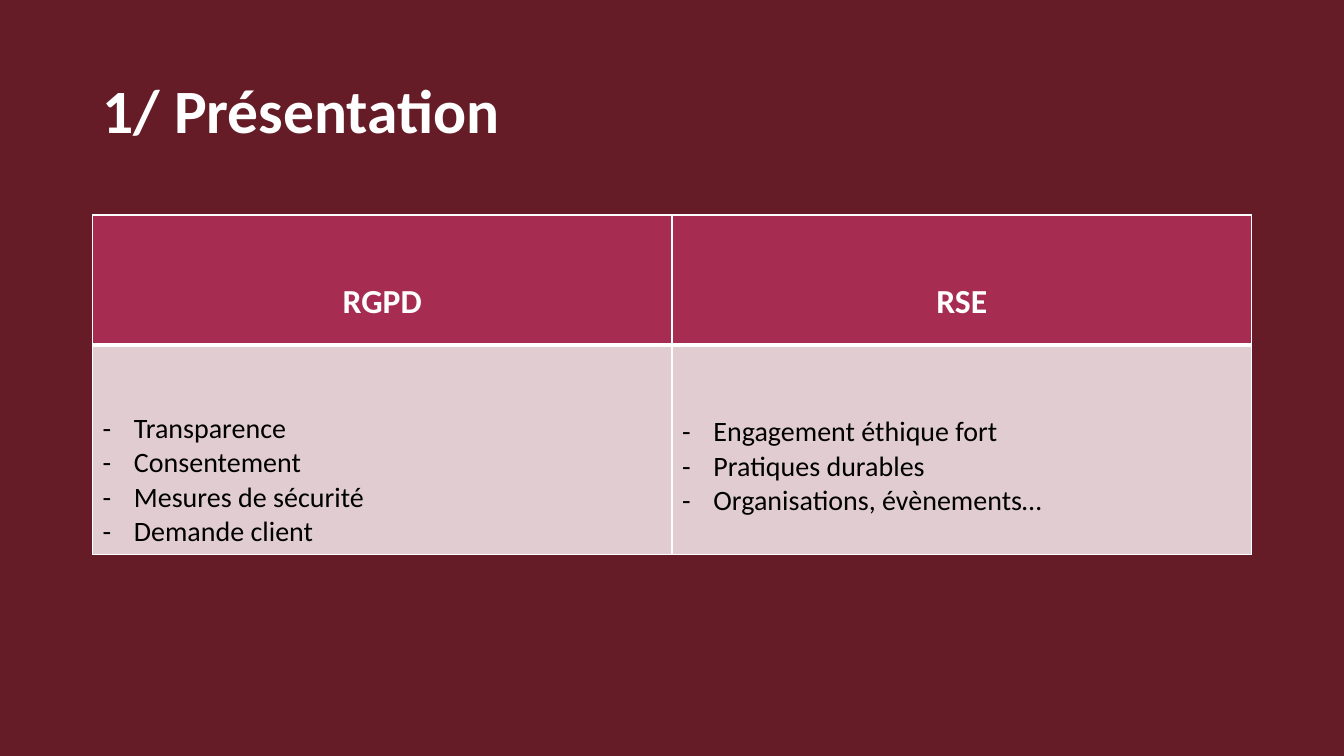
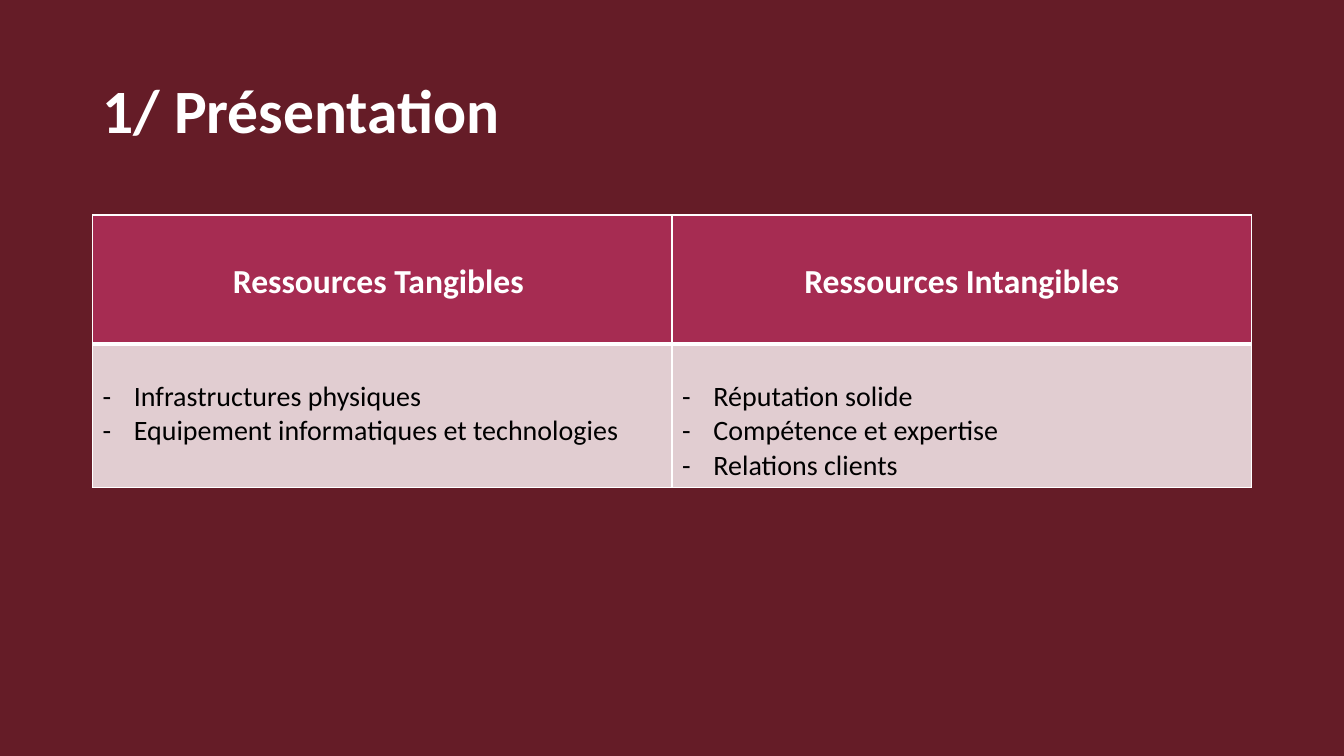
import pptx
import pptx.util
import pptx.dml.color
import pptx.enum.text
import pptx.oxml.ns
from lxml import etree

Cm, Pt = pptx.util.Cm, pptx.util.Pt
RGBColor = pptx.dml.color.RGBColor
qn = pptx.oxml.ns.qn

# Shared look
BURGUNDY = RGBColor(0x65, 0x1C, 0x27)
RASPBERRY = RGBColor(0xA6, 0x2C, 0x52)
ROSE = RGBColor(0xE1, 0xCD, 0xD1)
WHITE = RGBColor(0xFF, 0xFF, 0xFF)
BLACK = RGBColor(0x00, 0x00, 0x00)
FONT = "Calibri"
LEFT, WIDTH = Cm(2.33), Cm(29.21)
TABLE_TOP = Cm(5.42)
INDENT = Cm(0.79)


def style_font(p, size, color, bold=False):
    for r in p.runs:
        r.font.name = FONT
        r.font.size = Pt(size)
        r.font.color.rgb = color
        r.font.bold = bold


def setup_theme(prs):
    """Set the background and the title position for every slide."""
    fill = prs.slide_master.background.fill
    fill.solid()
    fill.fore_color.rgb = BURGUNDY
    layout = prs.slide_layouts.get_by_name("Title Only")
    title = layout.placeholders[0]
    title.left, title.top, title.width, title.height = LEFT, Cm(1.01), WIDTH, Cm(3.68)
    return layout


def add_title(s, text):
    tf = s.shapes.title.text_frame
    tf.text = text
    tf.vertical_anchor = pptx.enum.text.MSO_ANCHOR.MIDDLE
    p = tf.paragraphs[0]
    p.alignment = pptx.enum.text.PP_ALIGN.LEFT
    p.line_spacing = 0.9
    style_font(p, 44, WHITE, bold=True)


def add_dash(p):
    pPr = p._p.get_or_add_pPr()
    pPr.set("marL", str(INDENT))
    pPr.set("indent", str(-INDENT))
    etree.SubElement(pPr, qn("a:buFont"), typeface=FONT)
    etree.SubElement(pPr, qn("a:buChar"), char="-")


def format_cell(cell, fill, margin_top, top_line=1, bottom_line=1):
    """Draw white borders, then fill the cell and place its text."""
    tcPr = cell._tc.get_or_add_tcPr()
    for side, width in zip("LRTB", (1, 1, top_line, bottom_line)):
        ln = etree.SubElement(tcPr, qn(f"a:ln{side}"), w=str(Pt(width)))
        color = etree.SubElement(ln, qn("a:solidFill"))
        etree.SubElement(color, qn("a:srgbClr"), val=str(WHITE))
    cell.fill.solid()
    cell.fill.fore_color.rgb = fill
    cell.margin_top = Cm(margin_top)


def add_table(s, columns, heights, header_margin):
    """Each column is (heading, top margin of the list in cm, items)."""
    height = Cm(sum(heights))
    table = s.shapes.add_table(2, len(columns), LEFT, TABLE_TOP, WIDTH, height).table
    table.horz_banding = False
    for row, h in zip(table.rows, heights):
        row.height = Cm(h)
    for i, (heading, list_margin, items) in enumerate(columns):
        head, body = table.cell(0, i), table.cell(1, i)
        format_cell(head, RASPBERRY, header_margin, bottom_line=3)
        head.text_frame.text = heading
        p = head.text_frame.paragraphs[0]
        p.alignment = pptx.enum.text.PP_ALIGN.CENTER
        style_font(p, 24, WHITE, bold=True)

        format_cell(body, ROSE, list_margin, top_line=3)
        body.text_frame.text = "\n".join(items)
        for p in body.text_frame.paragraphs:
            add_dash(p)
            style_font(p, 20, BLACK)


def main():
    prs = pptx.Presentation()
    prs.slide_width, prs.slide_height = Cm(33.87), Cm(19.05)
    layout = setup_theme(prs)

    # Columns, row heights and header margin of each slide
    slides = [
        ([("RGPD", 1.68, ["Transparence", "Consentement",
                          "Mesures de sécurité", "Demande client"]),
          ("RSE", 1.76, ["Engagement éthique fort", "Pratiques durables",
                         "Organisations, évènements…"])],
         (3.28, 5.25), 1.68),
        ([("Ressources Tangibles ", 0.9, ["Infrastructures physiques",
                                          "Equipement informatiques et technologies"]),
          ("Ressources Intangibles", 0.9, ["Réputation solide", "Compétence et expertise",
                                           "Relations clients"])],
         (3.25, 3.62), 1.16),
    ]
    for columns, heights, header_margin in slides:
        s = prs.slides.add_slide(layout)
        add_title(s, "1/ Présentation")
        add_table(s, columns, heights, header_margin)

    prs.save("out.pptx")


if __name__ == "__main__":
    main()
